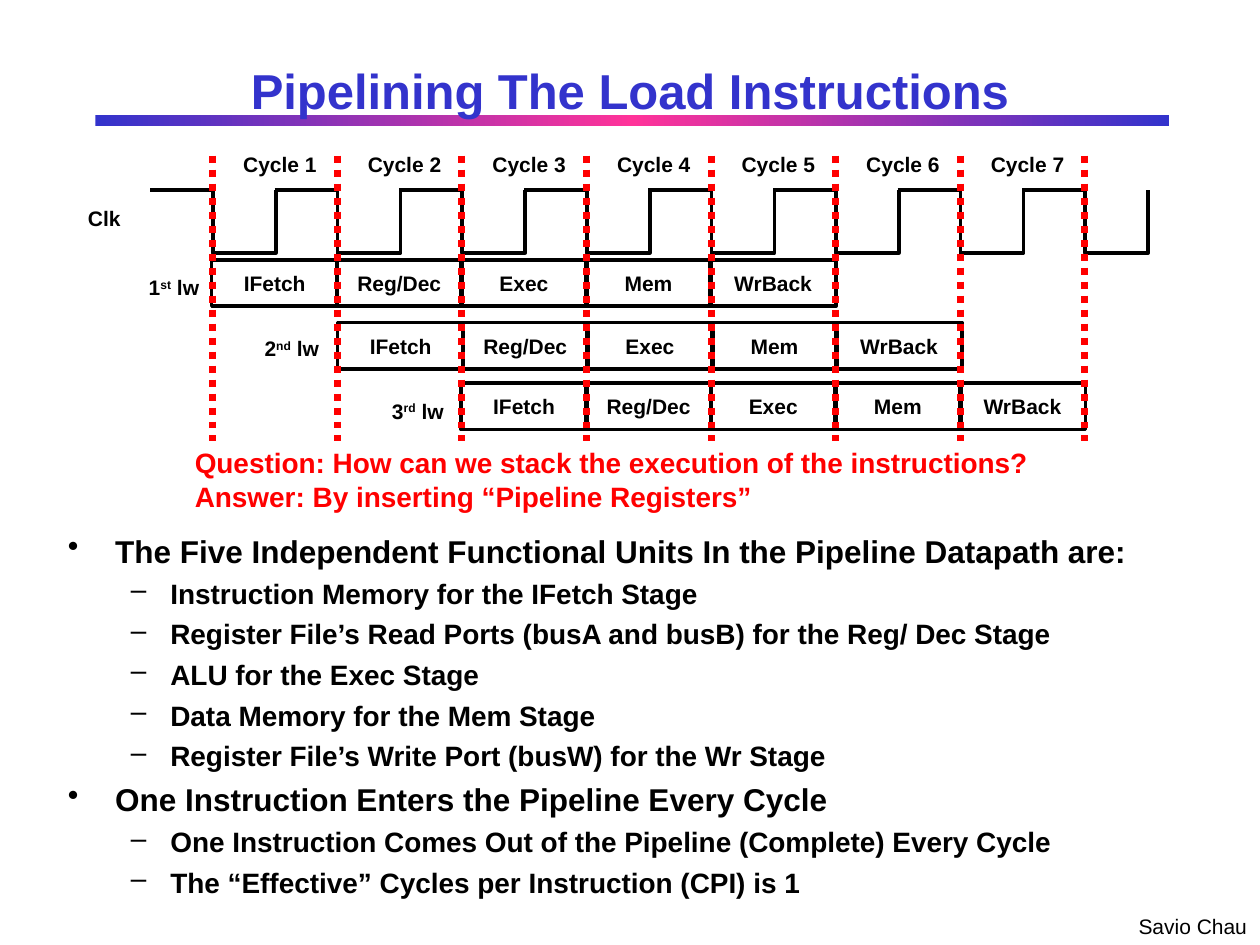
import copy

import pptx
import pptx.dml.color
import pptx.enum.dml
import pptx.enum.shapes
import pptx.enum.text
import pptx.oxml.ns
import pptx.oxml.xmlchemy
import pptx.util

Pt = pptx.util.Pt
ALIGN = pptx.enum.text.PP_ALIGN
ANCHOR = pptx.enum.text.MSO_ANCHOR
RECTANGLE = pptx.enum.shapes.MSO_SHAPE.RECTANGLE

BLACK, RED, BLUE, PINK = "000000", "FF0000", "3333CC", "FF3399"

# Timing grid: the first clock edge and the length of one cycle
FIRST_EDGE, CYCLE = 121.5, 71.2
STAGES = ["IFetch", "Reg/Dec", "Exec", "Mem", "WrBack"]

# Ordinal, suffix, label position, position of the first stage
INSTRUCTIONS = [
    ("1", "st", (85, 157), (121, 148.5)),
    ("2", "nd", (151.2, 191.75), (193, 184.25)),
    ("3", "rd", (224, 227.5), (263.5, 219)),
]

# Outline level and wording
POINTS = [
    (0, "The Five Independent Functional Units In the Pipeline Datapath are:"),
    (1, "Instruction Memory for the IFetch Stage"),
    (1, "Register File’s Read Ports (busA and busB) for the Reg/ Dec Stage"),
    (1, "ALU for the Exec Stage"),
    (1, "Data Memory for the Mem Stage"),
    (1, "Register File’s Write Port (busW) for the Wr Stage"),
    (0, "One Instruction Enters the Pipeline Every Cycle"),
    (1, "One Instruction Comes Out of the Pipeline (Complete) Every Cycle"),
    (1, "The “Effective” Cycles per Instruction (CPI) is 1"),
]
# Bullet, text size, left margin, hanging indent, space before
LEVELS = [("•", 18, 27, 27, 4.5), ("–", 16, 58.5, 22.5, 4)]


def rgb(colour):
    return pptx.dml.color.RGBColor.from_string(colour)


def write(paragraph, text, *, size=12, colour=BLACK, bold=True,
          align=ALIGN.LEFT, raised=False):
    paragraph.alignment = align
    run = paragraph.add_run()
    run.text = text
    run.font.name = "Arial"
    run.font.size = Pt(size)
    run.font.bold = bold
    run.font.color.rgb = rgb(colour)
    if raised:
        run.font._element.set("baseline", "30000")


def set_frame(frame, inset=(0, 0), wrap=False, anchor=ANCHOR.TOP):
    frame.margin_left = frame.margin_right = Pt(inset[0])
    frame.margin_top = frame.margin_bottom = Pt(inset[1])
    frame.word_wrap = wrap
    frame.auto_size = pptx.enum.text.MSO_AUTO_SIZE.NONE
    frame.vertical_anchor = anchor


def add_box(slide, left, top, width, height, **frame_format):
    frame = slide.shapes.add_textbox(Pt(left), Pt(top), Pt(width), Pt(height)).text_frame
    set_frame(frame, **frame_format)
    return frame


def add_label(slide, text, left, top, width):
    write(add_box(slide, left, top, width, 14.4).paragraphs[0], text)


def outline(shape):
    shape.shadow.inherit = False
    shape.fill.background()
    shape.line.color.rgb = rgb(BLACK)
    shape.line.width = Pt(2)


def add_title(slide):
    title = slide.shapes.title
    title.left, title.top, title.width, title.height = Pt(54), Pt(30.25), Pt(612), Pt(41.75)
    set_frame(title.text_frame, inset=(7.2, 3.6), wrap=True, anchor=ANCHOR.MIDDLE)
    write(title.text_frame.paragraphs[0], "Pipelining The Load Instructions",
          size=28, colour=BLUE, align=ALIGN.CENTER)


def add_title_rule(slide):
    rule = slide.shapes.add_shape(RECTANGLE, Pt(54.5), Pt(66), Pt(613.5), Pt(6))
    rule.shadow.inherit = False
    rule.line.fill.background()
    rule.fill.gradient()
    rule.fill.gradient_angle = 0
    stop_list = rule._element.spPr.find(".//" + pptx.oxml.ns.qn("a:gsLst"))
    stop_list.append(copy.deepcopy(stop_list[0]))
    for stop, position, colour in zip(rule.fill.gradient_stops, (0, 0.5, 1), (BLUE, PINK, BLUE)):
        stop.position = position
        stop.color.rgb = rgb(colour)
    # The title's descenders lie over the rule
    slide.shapes.title._element.addprevious(rule._element)


def add_clock_pulse(slide, left):
    high, low, half = Pt(108.5), Pt(144.5), 36
    start, fall, rise = Pt(left), Pt(left + half), Pt(left + 2 * half)
    pulse = slide.shapes.build_freeform(start, high, scale=1.0)
    pulse.add_line_segments([(fall, high), (fall, low), (rise, low), (rise, high)], close=False)
    outline(pulse.convert_to_shape())


def add_instruction(slide, left, top):
    stages = slide.shapes.add_group_shape().shapes
    for number, name in enumerate(STAGES):
        stage = stages.add_shape(RECTANGLE, Pt(left + number * CYCLE), Pt(top), Pt(72), Pt(26.5))
        outline(stage)
        set_frame(stage.text_frame, anchor=ANCHOR.MIDDLE)
        write(stage.text_frame.paragraphs[0], name, align=ALIGN.CENTER)


def add_ordinal(slide, ordinal, suffix, left, top):
    paragraph = add_box(slide, left, top, 30, 14.4).paragraphs[0]
    write(paragraph, ordinal)
    write(paragraph, suffix, raised=True)
    write(paragraph, " lw")


def add_cycle_edge(slide, x):
    edge = slide.shapes.add_connector(pptx.enum.shapes.MSO_CONNECTOR.STRAIGHT,
                                      Pt(x), Pt(89), Pt(x), Pt(252))
    edge.line.color.rgb = rgb(RED)
    edge.line.width = Pt(4)
    edge.line.dash_style = pptx.enum.dml.MSO_LINE.ROUND_DOT
    edge._element.spPr.append(pptx.oxml.xmlchemy.OxmlElement("a:effectLst"))


def add_points(slide):
    frame = add_box(slide, 31.75, 300.25, 657.5, 218, inset=(7.2, 3.6), wrap=True)
    for number, (level, text) in enumerate(POINTS):
        mark, size, margin, hanging, space = LEVELS[level]
        paragraph = frame.add_paragraph() if number else frame.paragraphs[0]
        paragraph.level = level
        if number:
            paragraph.space_before = Pt(space)
        properties = paragraph._p.get_or_add_pPr()
        properties.set("marL", str(Pt(margin)))
        properties.set("indent", str(-Pt(hanging)))
        bullet = pptx.oxml.xmlchemy.OxmlElement("a:buChar")
        bullet.set("char", mark)
        properties.append(bullet)
        write(paragraph, text, size=size)


def main():
    deck = pptx.Presentation()
    deck.slide_width, deck.slide_height = Pt(720), Pt(540)
    slide = deck.slides.add_slide(deck.slide_layouts[5])

    # Heading and author
    add_title(slide)
    add_title_rule(slide)
    author = add_box(slide, 643.5, 518.4, 76.5, 21.6, inset=(7.2, 3.6))
    write(author.paragraphs[0], "Savio Chau", bold=False)

    # Clock and cycle numbers
    edges = [FIRST_EDGE + number * CYCLE for number in range(8)]
    for edge in edges:
        add_clock_pulse(slide, edge - 35.75)
    for number, edge in enumerate(edges[:-1], start=1):
        add_label(slide, f"Cycle {number}", edge + 17.5, 86.5, 42)
    add_label(slide, "Clk", 50.25, 117.5, 19)

    # Overlapping instructions
    for ordinal, suffix, label_place, stage_place in INSTRUCTIONS:
        add_ordinal(slide, ordinal, suffix, *label_place)
        add_instruction(slide, *stage_place)
    for edge in edges:
        add_cycle_edge(slide, edge)

    # Question and answer
    dialogue = add_box(slide, 104.25, 251.25, 490.5, 46, inset=(7.2, 3.6))
    write(dialogue.paragraphs[0], "Question: How can we stack the execution of the instructions?",
          size=16, colour=RED)
    write(dialogue.add_paragraph(), "Answer: By inserting “Pipeline Registers”",
          size=16, colour=RED)

    add_points(slide)
    deck.save("out.pptx")


if __name__ == "__main__":
    main()
